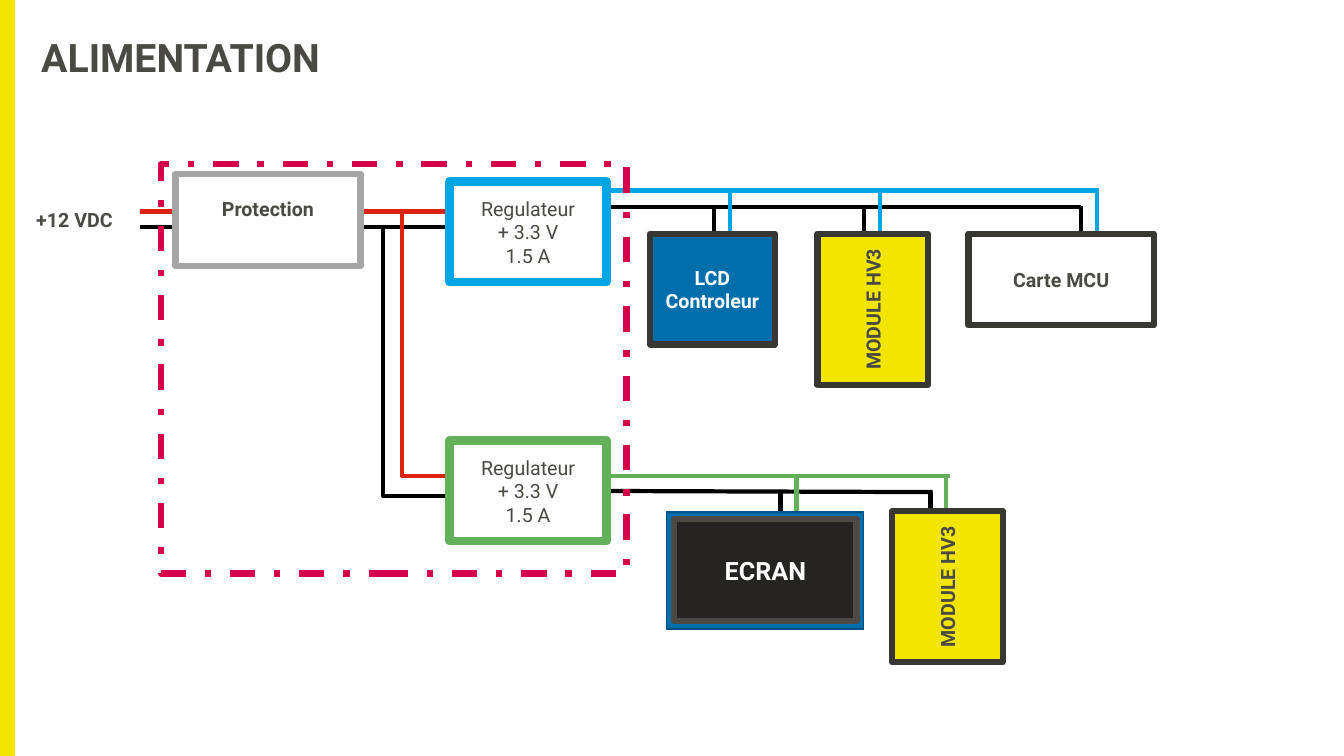
from pptx import Presentation
from pptx.dml.color import RGBColor
from pptx.enum.dml import MSO_LINE_DASH_STYLE as Dash
from pptx.enum.shapes import MSO_CONNECTOR as Connector, MSO_SHAPE as Shape
from pptx.enum.text import MSO_ANCHOR as Anchor, PP_ALIGN as Align
from pptx.oxml.ns import qn
from pptx.util import Cm, Pt
from lxml.etree import SubElement

FONT = "Roboto"
YELLOW, WHITE, BLACK = "F2E500", "FFFFFF", "000000"
BLUE, GREEN, RED = "00A5E6", "64AF5A", "DC230F"
TEXT, BORDER, NAVY = "4A4944", "383733", "006EAA"
GREY, NAVY_EDGE, SCREEN, FRAME = "A6A6A6", "005082", "252422", "D4004A"


def rgb(value):
    return RGBColor.from_string(value)


def style_font(font, size, color, bold):
    font.name = FONT
    font.size = Pt(size)
    font.bold = bold
    font.color.rgb = rgb(color)


def add_title(slide, text):
    box = slide.shapes.add_textbox(Cm(1.04), Cm(0.99), Cm(31.8), Cm(1.02))
    frame = box.text_frame
    frame.word_wrap = True
    frame.vertical_anchor = Anchor.MIDDLE
    frame.margin_left = frame.margin_right = frame.margin_top = frame.margin_bottom = 0
    paragraph = frame.paragraphs[0]
    paragraph.text = text
    paragraph.line_spacing = 0.9
    style_font(paragraph.font, 28, TEXT, True)


def add_box(slide, left, top, width, height, fill=None, line=None, weight=4.5,
            lines=(), size=14, color=TEXT, bold=True):
    shape = slide.shapes.add_shape(Shape.RECTANGLE, Cm(left), Cm(top), Cm(width), Cm(height))
    shape.shadow.inherit = False
    if fill:
        shape.fill.solid()
        shape.fill.fore_color.rgb = rgb(fill)
    else:
        shape.fill.background()
    if line:
        shape.line.color.rgb = rgb(line)
        shape.line.width = Pt(weight)
    else:
        shape.line.fill.background()
    frame = shape.text_frame
    frame.word_wrap = True
    frame.vertical_anchor = Anchor.MIDDLE
    for index, text in enumerate(lines):
        paragraph = frame.add_paragraph() if index else frame.paragraphs[0]
        paragraph.text = text
        paragraph.alignment = Align.CENTER
        style_font(paragraph.font, size, color, bold)
    return shape


def add_wire(slide, x1, y1, x2, y2, color, bend=None):
    kind = Connector.STRAIGHT if bend is None else Connector.ELBOW
    wire = slide.shapes.add_connector(kind, Cm(x1), Cm(y1), Cm(x2), Cm(y2))
    wire.line.color.rgb = rgb(color)
    wire.line.width = Pt(3)
    properties = wire._element.spPr
    SubElement(properties, qn("a:effectLst"))
    if bend is not None:
        adjustments = properties.find(qn("a:prstGeom")).get_or_add_avLst()
        SubElement(adjustments, qn("a:gd"), name="adj1", fmla=f"val {round(bend * 100000)}")


def add_drop_pair(slide, x, top, color):
    add_wire(slide, x, top, x, top + 1.47, color)
    add_wire(slide, x - 0.4, top + 0.43, x - 0.4, top + 1.9, BLACK)


def add_regulator(slide, top, color):
    add_box(slide, 11.33, top, 3.96, 2.54, WHITE, color, 6,
            ("Regulateur", "+ 3.3 V", "1.5 A"), bold=False)


def add_module(slide, left, top):
    module = add_box(slide, left, top, 3.81, 2.79, YELLOW, BORDER, lines=("MODULE HV3",))
    module.rotation = 270


def add_wiring(slide):
    for x1, y1, x2, y2, color in (
        (14.88, 11.99, 23.93, 11.99, GREEN),
        (14.66, 12.37, 23.5, 12.4, BLACK),
        (12.29, 4.8, 27.69, 4.8, BLUE),
        (11.58, 5.21, 27.23, 5.21, BLACK),
        (3.53, 5.33, 11.91, 5.33, RED),
        (3.53, 5.72, 11.91, 5.72, BLACK),
    ):
        add_wire(slide, x1, y1, x2, y2, color)
    add_wire(slide, 8.23, 5.33, 14.99, 11.99, RED, 0.28)
    add_wire(slide, 7.98, 5.72, 14.99, 12.5, BLACK, 0.24)
    for x in (18.39, 22.17, 27.64):
        add_drop_pair(slide, x, 4.75, BLUE)
    for x in (20.07, 23.85):
        add_drop_pair(slide, x, 11.96, GREEN)


def add_blocks(slide):
    add_regulator(slide, 4.57, BLUE)
    add_regulator(slide, 11.1, GREEN)
    add_box(slide, 0.61, 5.08, 2.54, 0.89, WHITE, lines=("+12 VDC",))
    add_module(slide, 21.97, 13.39)
    add_module(slide, 20.09, 6.4)
    add_box(slide, 24.41, 5.89, 4.67, 2.31, WHITE, BORDER, lines=("Carte MCU",))
    add_box(slide, 16.38, 5.89, 3.15, 2.79, NAVY, BORDER,
            lines=("LCD", "Controleur"), color=WHITE)
    add_box(slide, 16.79, 12.9, 4.98, 2.95, NAVY, NAVY_EDGE, 1)
    add_box(slide, 16.99, 13.08, 4.6, 2.57, SCREEN, TEXT,
            lines=("ECRAN",), size=18, color=WHITE)
    protection = add_box(slide, 4.42, 4.39, 4.67, 2.31, WHITE, GREY, lines=("Protection",))
    protection.text_frame.margin_bottom = Cm(0.72)


def main():
    presentation = Presentation()
    presentation.slide_width = Cm(33.87)
    presentation.slide_height = Cm(19.05)
    slide = presentation.slides.add_slide(presentation.slide_layouts[6])
    add_box(slide, 0, 0, 0.38, 19.05, YELLOW)
    add_title(slide, "ALIMENTATION")
    add_wiring(slide)
    add_blocks(slide)
    perimeter = add_box(slide, 4.06, 4.14, 11.73, 10.31, line=FRAME)
    perimeter.line.dash_style = Dash.DASH_DOT
    presentation.save("out.pptx")


if __name__ == "__main__":
    main()
